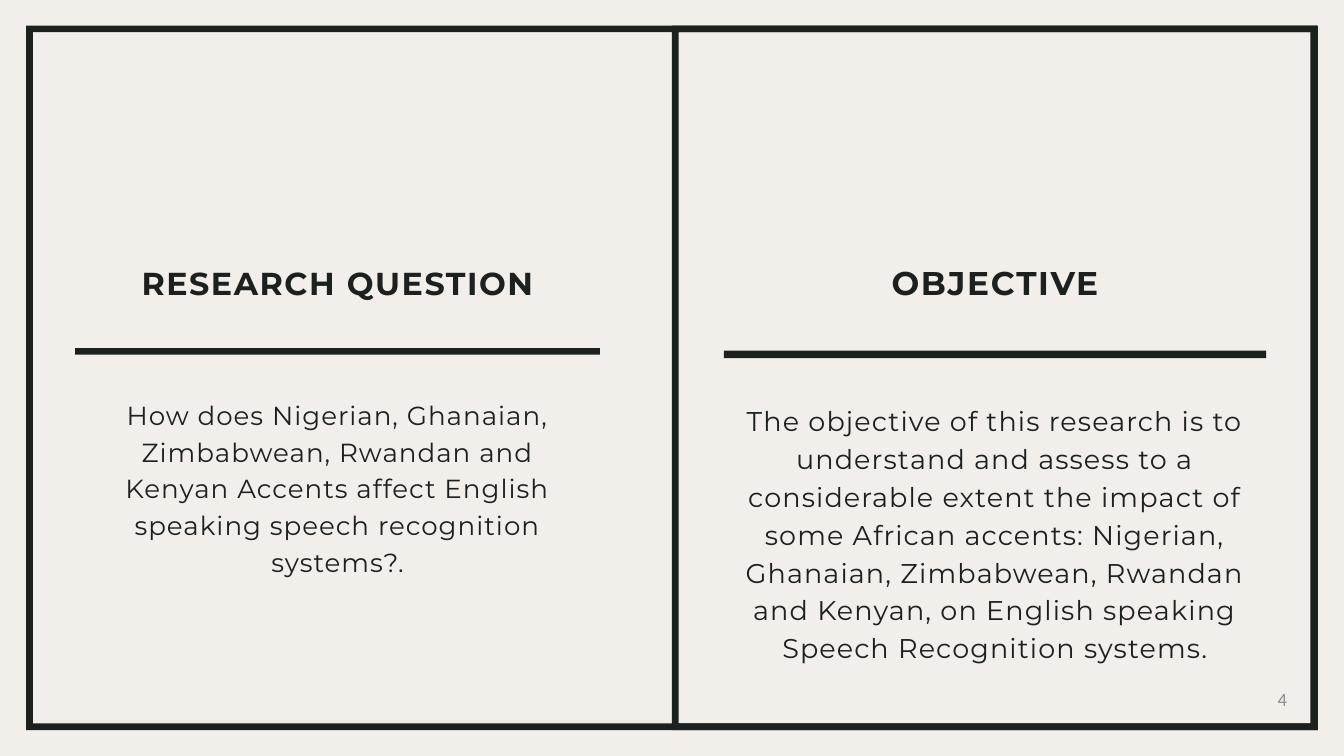
from dataclasses import dataclass

from pptx import Presentation
from pptx import util as u
from pptx.dml import color
from pptx.enum import shapes, text

HUES = {"paper": "F2EFEB", "ink": "1C2120", "gray": "8C8C8C"}
EDGE = 0.25
PAD = 0.66


@dataclass
class Box:
    x: float
    y: float
    w: float
    h: float

    def cm(self) -> list:
        return [u.Cm(v) for v in (self.x, self.y, self.w, self.h)]


@dataclass
class Style:
    size: float
    lead: float | None = None
    gap: float = 0
    bold: bool = False
    hue: str = "ink"
    face: str = "Montserrat"
    side: text.PP_ALIGN = text.PP_ALIGN.CENTER


@dataclass
class Panel:
    title: str
    body: str
    head: Box
    bar: Box
    copy: Box
    top: Style
    main: Style


def rgb(hue: str) -> color.RGBColor:
    return color.RGBColor.from_string(HUES[hue])


def block(slide, kind, box: Box):
    item = slide.shapes.add_shape(kind, *box.cm())
    item.shadow.inherit = False
    item.fill.solid()
    item.fill.fore_color.rgb = rgb("ink")
    item.line.fill.background()
    return item


def frame(slide, box: Box) -> None:
    item = block(slide, shapes.MSO_SHAPE.FRAME, box)
    item.adjustments[0] = EDGE / min(box.w, box.h)


def write(item, words: str, style: Style) -> None:
    area = item.text_frame
    area.text = words
    area.word_wrap = True
    area.auto_size = text.MSO_AUTO_SIZE.NONE
    line = area.paragraphs[0]
    line.alignment = style.side
    if style.lead:
        line.line_spacing = u.Pt(style.lead)
    run = line.runs[0]
    font = run.font
    font.name = style.face
    font.size = u.Pt(style.size)
    font.bold = style.bold
    font.color.rgb = rgb(style.hue)
    if style.gap:
        run._r.get_or_add_rPr().set("spc", str(round(style.gap * 100)))


def flush(item) -> None:
    area = item.text_frame
    area.margin_left = area.margin_right = 0
    area.margin_top = area.margin_bottom = 0
    area.vertical_anchor = text.MSO_ANCHOR.TOP


def label(slide, box: Box, words: str, style: Style):
    item = slide.shapes.add_textbox(*box.cm())
    write(item, words, style)
    return item


def panel(slide, part: Panel, title=None) -> None:
    if title is None:
        title = slide.shapes.add_textbox(*part.head.cm())
    else:
        title.left, title.top, title.width, title.height = part.head.cm()
    write(title, part.title, part.top)
    flush(title)
    flush(label(slide, part.copy, part.body, part.main))
    block(slide, shapes.MSO_SHAPE.RECTANGLE, part.bar)


def column(x: float, w: float, bar: tuple, head: tuple, copy: tuple,
           title: str, body: str, top: Style, main: Style) -> Panel:
    return Panel(title, body, Box(x, head[0], w, head[1]),
                 Box(x - PAD, bar[0], w + 2 * PAD, bar[1]),
                 Box(x, copy[0], w, copy[1]), top, main)


PANELS = [
    column(3.5, 18.52, (13.16, 0.25), (9.93, 1.45), (14.91, 6.81),
           "RESEARCH QUESTION",
           "How does Nigerian, Ghanaian, Zimbabwean, Rwandan and Kenyan "
           "Accents affect English speaking speech recognition systems?.",
           Style(34, 41.8, 1.7, True), Style(28, 39.2, 1.1)),
    column(28.02, 19.18, (13.26, 0.28), (9.91, 1.5), (15.09, 9.88),
           "OBJECTIVE",
           "The objective of this research is to understand and assess to a "
           "considerable extent the impact of some African accents: Nigerian, "
           "Ghanaian, Zimbabwean, Rwandan and Kenyan, on English speaking "
           "Speech Recognition systems.",
           Style(35.2, 43.3, 1.8, True), Style(29, 40.6, 1.2)),
]


def main() -> None:
    deck = Presentation()
    deck.slide_width, deck.slide_height = u.Cm(50.8), u.Cm(28.58)
    slide = deck.slides.add_slide(deck.slide_layouts[5])
    back = slide.background.fill
    back.solid()
    back.fore_color.rgb = rgb("paper")

    for box in (Box(0.99, 0.97, 48.82, 26.63), Box(25.4, 0.97, 24.38, 26.63)):
        frame(slide, box)
    for part, title in zip(PANELS, (slide.shapes.title, None)):
        panel(slide, part, title)

    page = label(slide, Box(42.98, 25.93, 5.92, 1.02), "4",
                 Style(20, hue="gray", face="Calibri", side=text.PP_ALIGN.RIGHT))
    page.text_frame.vertical_anchor = text.MSO_ANCHOR.MIDDLE
    deck.save("out.pptx")


if __name__ == "__main__":
    main()
